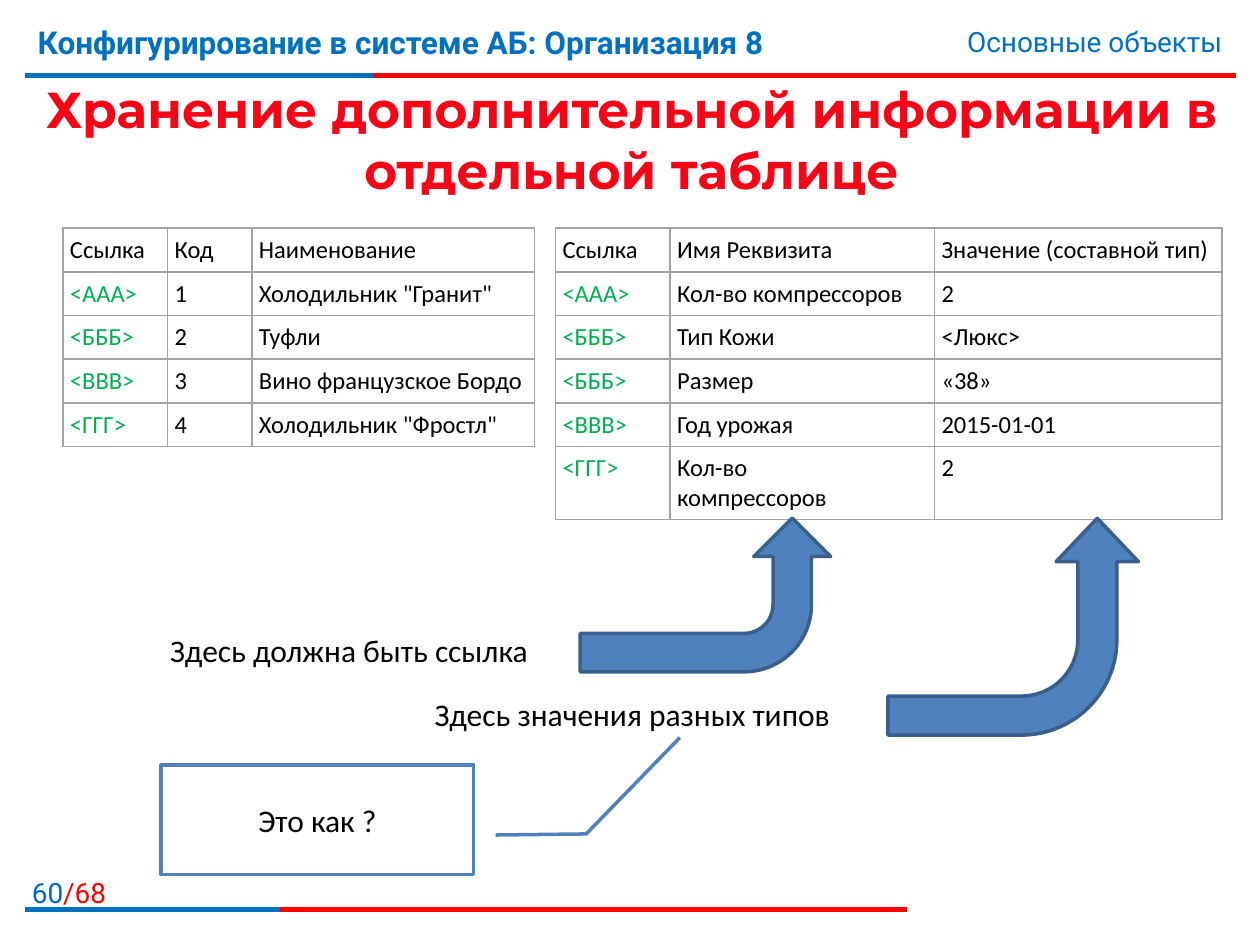
"""Builds the slide about keeping extra attributes in a separate table."""
from lxml import etree
from pptx import Presentation
from pptx import util as u
from pptx.dml.color import RGBColor
from pptx.enum import shapes, text
from pptx.oxml import ns

COLORS = {"blue": "0070C0", "page": "0066CC", "red": "FF0000", "title": "F50516",
          "black": "000000", "green": "00B050", "border": "A3A3A3", "white": "FFFFFF",
          "accent": "4F81BD", "outline": "3A5F8C"}
ALIGN = text.PP_ALIGN
MIDDLE = text.MSO_ANCHOR.MIDDLE

RULES = [(1.52, 24.92, "red"), (1.52, 7.52, "blue"),
         (18.34, 18.29, "red"), (18.34, 5.64, "blue")]
RULE_LEFT = 0.51

LABELS = [
    ((0, 17.53, 2.39, 0.81), [("60", "page"), ("/68", "red")],
     dict(size=16, font="Roboto", align=ALIGN.RIGHT)),
    ((0.51, 0.33, 18.8, 1.57), [("Конфигурирование в системе АБ: Организация 8", "blue")],
     dict(font="Roboto", bold=True)),
    ((15.09, 0.38, 9.8, 0.94), [("Основные объекты", "blue")],
     dict(size=16, font="Roboto", align=ALIGN.RIGHT)),
    ((0.53, 1.6, 24.41, 2.39), [("Хранение дополнительной информации в отдельной таблице", "title")],
     dict(size=28.8, font="Montserrat", bold=True, align=ALIGN.CENTER, anchor=MIDDLE)),
    ((3.18, 12.6, 14.53, 1.02), [("Здесь должна быть ссылка", "black")], {}),
    ((8.51, 13.89, 15.42, 1.02), [("Здесь значения разных типов", "black")], {}),
]

TABLE_TOP, LINE_ROW, DOUBLE_ROW = 4.6, 0.88, 1.47
TABLES = [
    (1.27, (2.11, 1.7, 5.69), [
        ("Ссылка", "Код", "Наименование"),
        ("<ААА>", "1", 'Холодильник "Гранит"'),
        ("<БББ>", "2", "Туфли"),
        ("<ВВВ>", "3", "Вино французское Бордо"),
        ("<ГГГ>", "4", 'Холодильник "Фростл"'),
    ]),
    (11.2, (2.31, 5.33, 5.79), [
        ("Ссылка", "Имя Реквизита", "Значение (составной тип)"),
        ("<ААА>", "Кол-во компрессоров", "2"),
        ("<БББ>", "Тип Кожи", "<Люкс>"),
        ("<БББ>", "Размер", "«38»"),
        ("<ВВВ>", "Год урожая", "2015-01-01"),
        ("<ГГГ>", "Кол-во \vкомпрессоров", "2"),
    ]),
]

ARROWS = [((12.67, 9.47, 3.1, 5.05), ()),
          ((18.24, 10.11, 4.37, 5.05), (0.18, 0.19, 0.2, 0.44))]
CALLOUT = ((3.25, 15.42, 6.3, 2.21), (0.64, 1.07, 0.63, 1.36, -0.25, 1.66))


def rgb(name):
    return RGBColor.from_string(COLORS[name])


def cm(values):
    return [u.Cm(value) for value in values]


def write(frame, runs, size=18, font="Calibri", bold=False, align=ALIGN.LEFT,
          anchor=text.MSO_ANCHOR.TOP):
    frame.word_wrap = True
    frame.vertical_anchor = anchor
    paragraph = frame.paragraphs[0]
    paragraph.alignment = align
    for content, color in runs:
        for index, line in enumerate(content.split("\v")):
            if index:
                paragraph.add_line_break()
            run = paragraph.add_run()
            run.text = line
            run.font.size, run.font.name, run.font.bold = u.Pt(size), font, bold
            run.font.color.rgb = rgb(color)


def add_rule(slide, top, right, color):
    rule = slide.shapes.add_connector(shapes.MSO_CONNECTOR.STRAIGHT,
                                      *cm((RULE_LEFT, top, right, top)))
    rule.line.color.rgb, rule.line.width = rgb(color), u.Pt(3)
    etree.SubElement(rule._element.spPr, ns.qn("a:effectLst"))


def add_figure(slide, kind, place, adjustments, fill, line):
    shape = slide.shapes.add_shape(kind, *cm(place))
    shape.shadow.inherit = False
    shape.fill.solid()
    shape.fill.fore_color.rgb = rgb(fill)
    shape.line.color.rgb, shape.line.width = rgb(line), u.Pt(2)
    for index, value in enumerate(adjustments):
        shape.adjustments[index] = value
    return shape


def add_borders(cell):
    properties = cell._tc.get_or_add_tcPr()
    for side in ("lnL", "lnR", "lnT", "lnB"):
        border = etree.SubElement(properties, ns.qn(f"a:{side}"), w=str(u.Pt(1)))
        fill = etree.SubElement(border, ns.qn("a:solidFill"))
        etree.SubElement(fill, ns.qn("a:srgbClr"), val=COLORS["border"])


def add_table(slide, left, widths, rows):
    heights = [DOUBLE_ROW if any("\v" in value for value in row) else LINE_ROW for row in rows]
    place = cm((left, TABLE_TOP, sum(widths), sum(heights)))
    table = slide.shapes.add_table(len(rows), len(widths), *place).table
    table.first_row = table.horz_banding = False
    for column, width in zip(table.columns, widths):
        column.width = u.Cm(width)
    for row_index, row in enumerate(rows):
        table.rows[row_index].height = u.Cm(heights[row_index])
        for column_index, value in enumerate(row):
            cell = table.cell(row_index, column_index)
            cell.margin_left = cell.margin_right = u.Cm(0.14)
            cell.margin_top = cell.margin_bottom = u.Cm(0.14)
            add_borders(cell)
            cell.fill.background()
            color = "green" if row_index and not column_index else "black"
            write(cell.text_frame, [(value, color)], size=14)


presentation = Presentation()
presentation.slide_width, presentation.slide_height = cm((25.4, 19.05))
slide = presentation.slides.add_slide(presentation.slide_layouts[6])

for rule in RULES:
    add_rule(slide, *rule)
for place, runs, style in LABELS:
    write(slide.shapes.add_textbox(*cm(place)).text_frame, runs, **style)
for table in TABLES:
    add_table(slide, *table)
for place, adjustments in ARROWS:
    arrow = add_figure(slide, shapes.MSO_SHAPE.BENT_ARROW, place, adjustments,
                       "accent", "outline")
    arrow.rotation = 270
    arrow._element.spPr.xfrm.set("flipV", "1")
callout = add_figure(slide, shapes.MSO_SHAPE.LINE_CALLOUT_2, *CALLOUT, "white", "accent")
write(callout.text_frame, [("Это как ?", "black")], align=ALIGN.CENTER, anchor=MIDDLE)

presentation.save("out.pptx")
